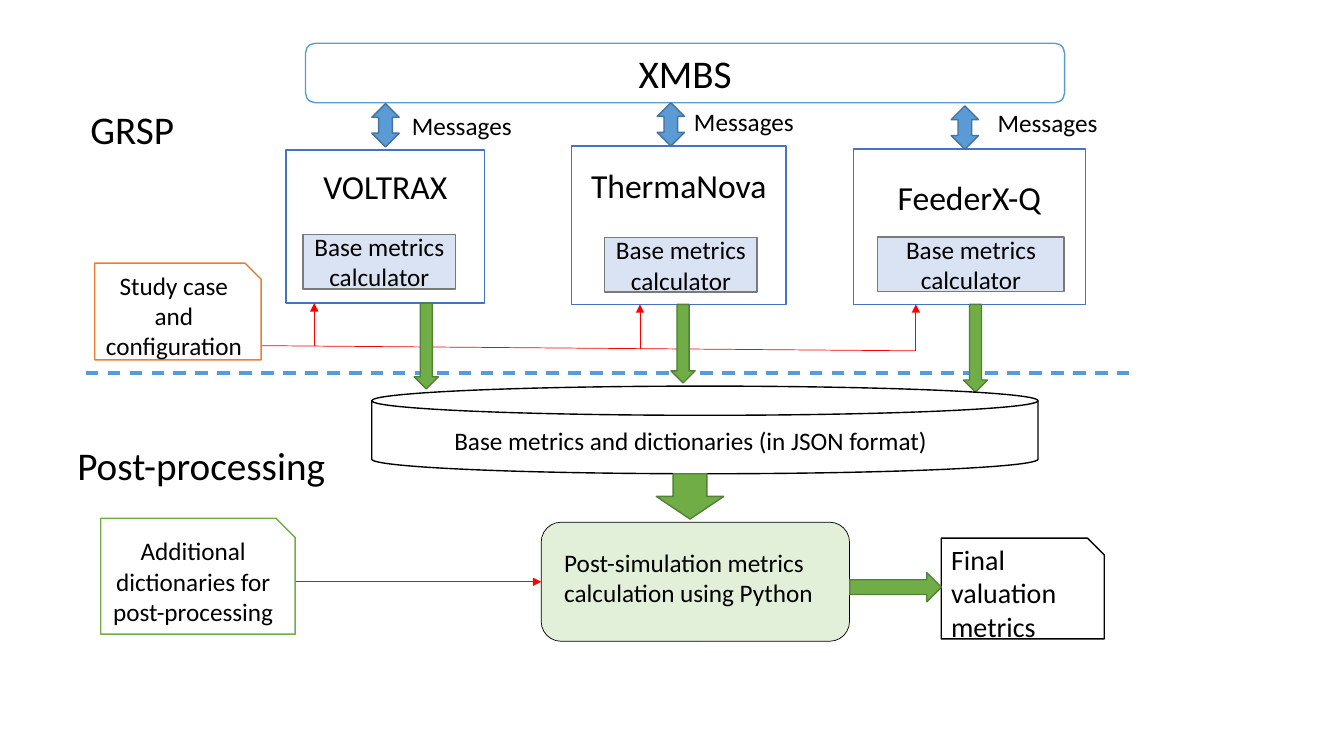
from collections import namedtuple

from lxml import etree
from pptx import Presentation
from pptx.dml.color import RGBColor
from pptx.enum.dml import MSO_LINE
from pptx.enum.shapes import MSO_CONNECTOR, MSO_SHAPE
from pptx.enum.text import MSO_ANCHOR, PP_ALIGN
from pptx.oxml.ns import qn
from pptx.util import Cm, Pt

RECT = MSO_SHAPE.RECTANGLE
ROUNDED = MSO_SHAPE.ROUNDED_RECTANGLE
SNIPPED = MSO_SHAPE.SNIP_1_RECTANGLE
DOUBLE_ARROW = MSO_SHAPE.LEFT_RIGHT_ARROW
DOWN_ARROW = MSO_SHAPE.DOWN_ARROW
DISK = MSO_SHAPE.FLOWCHART_MAGNETIC_DISK
STRAIGHT = MSO_CONNECTOR.STRAIGHT
DASH = MSO_LINE.DASH
TOP, MIDDLE = MSO_ANCHOR.TOP, MSO_ANCHOR.MIDDLE
LEFT, CENTER = PP_ALIGN.LEFT, PP_ALIGN.CENTER

BLACK = RGBColor(0x00, 0x00, 0x00)
WHITE = RGBColor(0xFF, 0xFF, 0xFF)
RED = RGBColor(0xFF, 0x00, 0x00)
ORANGE = RGBColor(0xED, 0x7D, 0x31)
BLUE = RGBColor(0x5B, 0x9B, 0xD5)
DARK_BLUE = RGBColor(0x43, 0x73, 0x9E)
FRAME_BLUE = RGBColor(0x44, 0x72, 0xC4)
PALE_BLUE = RGBColor(0xDA, 0xE3, 0xF3)
GRAY = RGBColor(0x7A, 0x7A, 0x7A)
GREEN = RGBColor(0x70, 0xAD, 0x47)
DARK_GREEN = RGBColor(0x53, 0x80, 0x35)
PALE_GREEN = RGBColor(0xE2, 0xF0, 0xD9)

FONT = "Calibri"

Box = namedtuple("Box", "left top width height")
Simulator = namedtuple(
    "Simulator", "name box title_gap calculator exchange message output_x output_length config_x")

SIMULATORS = [
    Simulator("VOLTRAX", Box(7.21, 3.78, 5.0, 3.86), 0.41, Box(0.43, 2.13, 3.84, 1.37),
              (1.96, -0.97), (2.92, -1.12), 3.23, 2.16, 0.71),
    Simulator("ThermaNova", Box(14.4, 3.68, 5.41, 3.99), 0.47, Box(0.84, 2.31, 3.84, 1.37),
              (1.96, -0.89), (2.84, -1.12), 2.51, 1.98, 1.73),
    Simulator("FeederX-Q", Box(21.51, 3.76, 5.84, 3.91), 0.7, Box(0.61, 2.21, 4.7, 1.37),
              (2.26, -0.89), (3.38, -1.17), 2.77, 2.21, 1.57),
]
BUS_START, BUS_END = (6.6, 8.71), (23.08, 8.84)


def inside(box, left, top, width, height):
    return Box(box.left + left, box.top + top, width, height)


def write(shape, text, size, align=LEFT, anchor=TOP):
    frame = shape.text_frame
    frame.word_wrap = True
    frame.vertical_anchor = anchor
    para = frame.paragraphs[0]
    para.alignment = align
    span = para.add_run()
    span.text = text
    span.font.name = FONT
    span.font.size = Pt(size)
    span.font.color.rgb = BLACK


def add_label(page, box, text, size):
    write(page.shapes.add_textbox(*map(Cm, box)), text, size)


def add_figure(page, kind, box, fill, line, weight=1, rotation=0):
    shape = page.shapes.add_shape(kind, *map(Cm, box))
    shape.shadow.inherit = False
    shape.rotation = rotation
    shape.fill.solid()
    shape.fill.fore_color.rgb = fill
    shape.line.color.rgb = line
    shape.line.width = Pt(weight)
    return shape


def add_line(page, start, end, color=RED, weight=0.5, arrow=False):
    line = page.shapes.add_connector(STRAIGHT, *map(Cm, (*start, *end)))
    line.line.color.rgb = color
    line.line.width = Pt(weight)
    if arrow:
        etree.SubElement(line.line._get_or_add_ln(), qn("a:tailEnd"), type="triangle")
    etree.SubElement(line._element.spPr, qn("a:effectLst"))
    return line


def bus_height(x):
    share = (x - BUS_START[0]) / (BUS_END[0] - BUS_START[0])
    return BUS_START[1] + share * (BUS_END[1] - BUS_START[1])


def add_simulator(page, simulator):
    box = simulator.box
    bottom = box.top + box.height
    frame = add_figure(page, RECT, box, WHITE, FRAME_BLUE)
    write(frame, simulator.name, 24, CENTER)
    frame.text_frame.margin_top = Cm(simulator.title_gap)
    calculator = add_figure(page, RECT, inside(box, *simulator.calculator), PALE_BLUE, GRAY)
    write(calculator, "Base metrics calculator", 18, CENTER, MIDDLE)
    add_figure(page, DOUBLE_ARROW, inside(box, *simulator.exchange, 1.09, 0.69),
               BLUE, DARK_BLUE, rotation=90)
    add_label(page, inside(box, *simulator.message, 3.18, 1.02), "Messages", 18)
    config_x = box.left + simulator.config_x
    add_line(page, (config_x, bus_height(config_x)), (config_x, bottom), arrow=True)
    add_figure(page, DOWN_ARROW,
               inside(box, simulator.output_x, box.height, 0.61, simulator.output_length),
               GREEN, DARK_GREEN)


def add_simulation(page, box):
    add_label(page, inside(box, 0, 1.45, 3.86, 1.45), "GRSP", 28)
    broker = add_figure(page, ROUNDED, inside(box, 5.67, 0, 19.13, 1.5), WHITE, BLUE)
    write(broker, "XMBS", 28, CENTER, MIDDLE)
    study = add_figure(page, SNIPPED, inside(box, 0.36, 5.54, 4.19, 2.44), WHITE, ORANGE)
    write(study, "Study case and configuration", 18, CENTER, MIDDLE)
    border = box.top + box.height
    divider = add_line(page, (box.left + 0.13, border), (box.left + box.width, border), BLUE, 2.25)
    divider.line.dash_style = DASH
    add_line(page, BUS_START, BUS_END)
    for simulator in SIMULATORS:
        add_simulator(page, simulator)


def add_post_processing(page, box):
    add_label(page, inside(box, 0, 1.27, 7.09, 1.45), "Post-processing", 28)
    add_figure(page, DISK, inside(box, 7.67, 0, 16.79, 2.21), WHITE, BLACK)
    add_label(page, inside(box, 9.5, 0.86, 13.18, 1.02),
              "Base metrics and dictionaries (in JSON format)", 18)
    add_figure(page, DOWN_ARROW, inside(box, 14.84, 2.21, 1.7, 1.14), GREEN, DARK_GREEN)
    add_figure(page, ROUNDED, inside(box, 11.94, 3.43, 7.77, 3.0), PALE_GREEN, BLACK, 0.5)
    add_label(page, inside(box, 12.27, 3.94, 7.59, 1.8),
              "Post-simulation metrics calculation using Python", 18)
    extra = add_figure(page, SNIPPED, inside(box, 0.84, 3.33, 4.9, 2.92), WHITE, GREEN)
    write(extra, "Additional dictionaries for post-processing", 18, CENTER, MIDDLE)
    link_y = box.top + 4.93
    add_line(page, (box.left + 5.77, link_y), (box.left + 11.94, link_y), arrow=True)
    final = add_figure(page, SNIPPED, inside(box, 22.02, 3.83, 4.11, 2.54), WHITE, BLACK)
    write(final, "Final valuation metrics", 20, LEFT, MIDDLE)
    add_figure(page, DOWN_ARROW, inside(box, 20.5, 3.91, 0.74, 2.31),
               GREEN, DARK_GREEN, rotation=270)


deck = Presentation()
deck.slide_width, deck.slide_height = Cm(33.87), Cm(19.05)
page = deck.slides.add_slide(deck.slide_layouts[6])
add_simulation(page, Box(2.03, 1.09, 26.42, 8.31))
add_post_processing(page, Box(1.7, 9.73, 26.13, 6.43))
deck.save("out.pptx")
